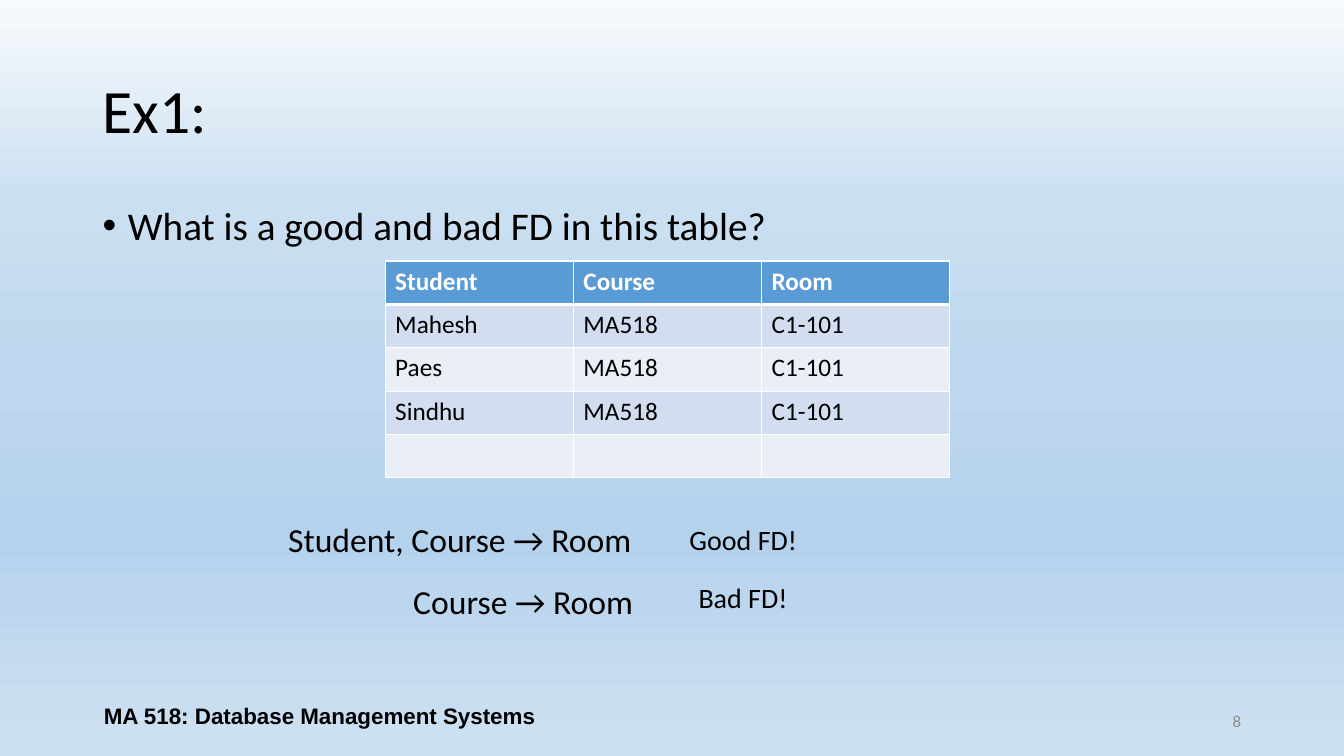
from dataclasses import dataclass

from lxml.etree import SubElement
from pptx import Presentation
from pptx.dml.color import RGBColor
from pptx.enum.text import MSO_ANCHOR, MSO_AUTO_SIZE, PP_ALIGN
from pptx.oxml.ns import qn
from pptx.util import Inches, Pt


@dataclass(frozen=True)
class Theme:
    body_font: str = "Calibri"
    footer_font: str = "Arial"
    ink: str = "000000"
    paper: str = "FFFFFF"
    muted: str = "8C8C8C"
    header: str = "5B9BD5"
    bands: tuple = ("D2DEEF", "EAEFF7")
    sky: tuple = ((0, "F7FAFD"), (28, "CADFF1"), (49, "BDD7EE"),
                  (71, "B5D2EC"), (100, "CEE1F2"))
    title: int = 44
    question: int = 28
    dependency: int = 24
    verdict: int = 20
    cell: int = 18
    footer: int = 16
    number: int = 12


theme = Theme()


def style(paragraph, size, color=theme.ink, name=theme.body_font, bold=False):
    for run in paragraph.runs:
        run.font.size = Pt(size)
        run.font.name = name
        run.font.bold = bold
        run.font.color.rgb = RGBColor.from_string(color)


def add_label(left, top, width, height, text, size, wrap=True, **look):
    box = slide.shapes.add_textbox(*map(Inches, (left, top, width, height)))
    frame = box.text_frame
    frame.word_wrap = wrap
    frame.auto_size = MSO_AUTO_SIZE.NONE if wrap else MSO_AUTO_SIZE.SHAPE_TO_FIT_TEXT
    frame.text = text
    style(frame.paragraphs[0], size, **look)
    return frame


WIDTH, HEIGHT, MARGIN = 13.33, 7.5, 0.92
CONTENT = WIDTH - 2 * MARGIN

deck = Presentation()
deck.slide_width, deck.slide_height = Inches(WIDTH), Inches(HEIGHT)
slide = deck.slides.add_slide(deck.slide_layouts[5])

# Sky gradient from top to bottom
sky = slide.background.fill
sky.gradient()
sky.gradient_angle = 270
stops = slide.background._cSld.find(".//" + qn("a:gsLst"))
for stop in list(stops):
    stops.remove(stop)
for share, color in theme.sky:
    stop = SubElement(stops, qn("a:gs"), pos=str(share * 1000))
    SubElement(stop, qn("a:srgbClr"), val=color)

# Title
title = slide.shapes.title
title.left, title.top = Inches(MARGIN), Inches(0.4)
title.width, title.height = Inches(CONTENT), Inches(1.45)
heading = title.text_frame
heading.text = "Ex1:"
heading.auto_size = MSO_AUTO_SIZE.NONE
heading.vertical_anchor = MSO_ANCHOR.MIDDLE
heading.paragraphs[0].alignment = PP_ALIGN.LEFT
heading.paragraphs[0].line_spacing = 0.9
style(heading.paragraphs[0], theme.title)

# Question
question = add_label(MARGIN, 2, CONTENT, 4.76,
                     "What is a good and bad FD in this table?",
                     theme.question).paragraphs[0]
question.line_spacing = 0.9
bullet = question._p.get_or_add_pPr()
bullet.set("marL", str(Inches(0.25)))
bullet.set("indent", str(-Inches(0.25)))
SubElement(bullet, qn("a:buFont"), typeface="Arial")
SubElement(bullet, qn("a:buChar"), char="•")

# Page number and course name
number = add_label(WIDTH - MARGIN - 3, 6.95, 3, 0.4, "8", theme.number,
                   color=theme.muted)
number.paragraphs[0].alignment = PP_ALIGN.RIGHT
course = add_label(MARGIN, 6.9, 4.5, 0.4, "MA 518: Database Management Systems",
                   theme.footer, name=theme.footer_font, bold=True)
course.paragraphs[0].alignment = PP_ALIGN.CENTER
for footer in (number, course):
    footer.vertical_anchor = MSO_ANCHOR.MIDDLE

# Enrolment table, with a spare last row
enrolments = [("Student", "Course", "Room")]
enrolments += [(student, "MA518", "C1-101") for student in ("Mahesh", "Paes", "Sindhu")]
enrolments += [("", "", "")]
ROW = 0.43
table = slide.shapes.add_table(len(enrolments), 3, Inches(3.82), Inches(2.59),
                               Inches(5.6), Inches(ROW * len(enrolments))).table
for r, values in enumerate(enrolments):
    table.rows[r].height = Inches(ROW)
    for c, value in enumerate(values):
        cell = table.cell(r, c)
        cell.text = value
        style(cell.text_frame.paragraphs[0], theme.cell,
              color=theme.ink if r else theme.paper, bold=r == 0)
        cell.text_frame.paragraphs[0].font.size = Pt(theme.cell)
        # Borders go before the fill; the rule under the header is thicker
        edges = cell._tc.get_or_add_tcPr()
        for side in ("lnL", "lnR", "lnT", "lnB"):
            thick = (r, side) in ((0, "lnB"), (1, "lnT"))
            edge = SubElement(edges, qn("a:" + side), w=str(Pt(3 if thick else 1)))
            SubElement(SubElement(edge, qn("a:solidFill")), qn("a:srgbClr"),
                       val=theme.paper)
        cell.fill.solid()
        cell.fill.fore_color.rgb = RGBColor.from_string(
            theme.bands[(r - 1) % 2] if r else theme.header)

# Functional dependencies, right-aligned as a column, and their verdicts
DEPENDENCY_RIGHT, VERDICT_CENTER = 6.42, 7.41
for dependency, width, top, verdict, verdict_width, verdict_top in (
        ("Student, Course → Room", 3.66, 5.1, "Good FD!", 1.34, 5.13),
        ("Course → Room", 2.42, 5.71, "Bad FD!", 1.16, 5.71)):
    add_label(DEPENDENCY_RIGHT - width, top, width, 0.5, dependency,
              theme.dependency, wrap=False)
    add_label(VERDICT_CENTER - verdict_width / 2, verdict_top, verdict_width, 0.44,
              verdict, theme.verdict, wrap=False)

deck.save("out.pptx")
